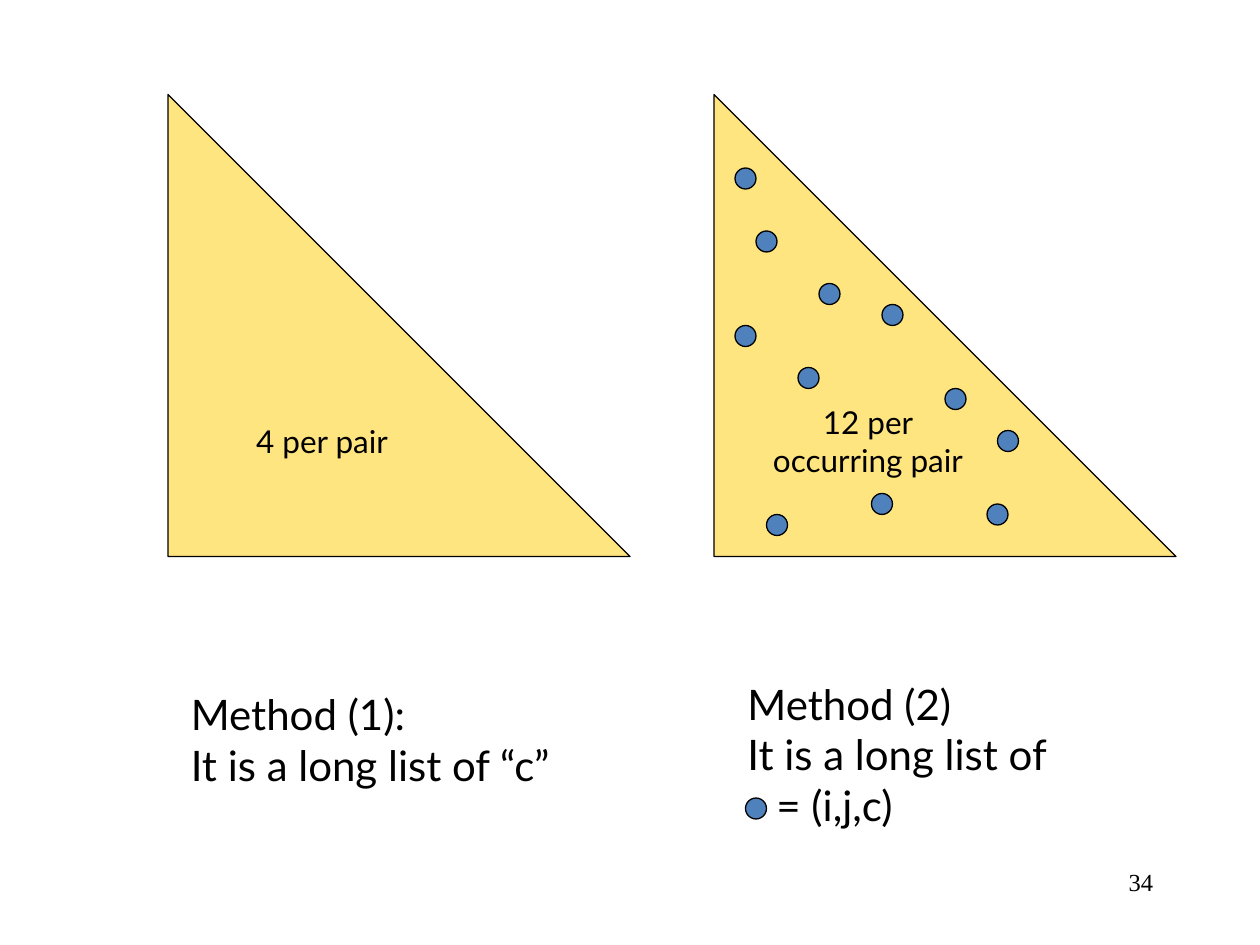
import lxml.etree
import pptx
import pptx.dml.color
import pptx.enum.shapes
import pptx.enum.text
import pptx.oxml.ns
import pptx.util

COLORS = {"black": "000000", "triangle": "FFCC00", "dot": "4F81BD"}
BODY_FONT = "Lato"
NUMBER_FONT = "Times New Roman"
SLIDE_WIDTH, SLIDE_HEIGHT = 10, 7.5
GRID_COLUMNS, GRID_ROWS = 120, 90
TRIANGLE_ROW, TRIANGLE_SIZE, DOT_SIZE = 9, 44, 2
TRIANGLE_OPACITY = 50
SYMBOL_INDENT = 0.23

TRIANGLES = [(16, ["4 per pair"]), (68, ["12 per", "occurring pair"])]
PAIR_DOTS = [
    (95, 41), (83, 47), (84, 29), (72, 22), (90, 37), (94, 48),
    (73, 49), (76, 35), (78, 27), (70, 16), (70, 31),
]
LEGEND_DOT = (71, 76)
METHODS = [
    ((17, 65, 38.9, 10.9), ["Method (1):", "It is a long list of “c”"]),
    ((70, 64, 32.8, 15.7), ["Method (2)", "It is a long list of", "= (i,j,c)"]),
]
SLIDE_NUMBER = ((86, 82, 25, 6), ["34"])

ALIGN = pptx.enum.text.PP_ALIGN
SHAPE = pptx.enum.shapes.MSO_SHAPE


def color(name):
    return pptx.dml.color.RGBColor.from_string(COLORS[name])


def place(column, row, columns, rows):
    cell_width = SLIDE_WIDTH / GRID_COLUMNS
    cell_height = SLIDE_HEIGHT / GRID_ROWS
    lengths = (column * cell_width, row * cell_height, columns * cell_width, rows * cell_height)
    return [pptx.util.Inches(length) for length in lengths]


def write(text_frame, lines, size, font=BODY_FONT, alignment=ALIGN.LEFT):
    text_frame.word_wrap = True
    text_frame.text = "\n".join(lines)
    for paragraph in text_frame.paragraphs:
        paragraph.alignment = alignment
        for run in paragraph.runs:
            run.font.name = font
            run.font.size = pptx.util.Pt(size)
            run.font.color.rgb = color("black")


def add_text(slide, cells, lines, size, **style):
    text_frame = slide.shapes.add_textbox(*place(*cells)).text_frame
    write(text_frame, lines, size, **style)
    return text_frame


def add_outlined(slide, kind, column, row, size, fill):
    shape = slide.shapes.add_shape(kind, *place(column, row, size, size))
    shape.shadow.inherit = False
    shape.fill.solid()
    shape.fill.fore_color.rgb = color(fill)
    shape.line.color.rgb = color("black")
    shape.line.width = pptx.util.Pt(0.75)
    return shape


def add_triangle(slide, column, lines):
    shape = add_outlined(
        slide, SHAPE.RIGHT_TRIANGLE, column, TRIANGLE_ROW, TRIANGLE_SIZE, "triangle"
    )
    fill_color = shape.fill._xPr.find(".//" + pptx.oxml.ns.qn("a:srgbClr"))
    alpha = lxml.etree.SubElement(fill_color, pptx.oxml.ns.qn("a:alpha"))
    alpha.set("val", str(TRIANGLE_OPACITY * 1000))
    shape.text_frame.vertical_anchor = pptx.enum.text.MSO_ANCHOR.MIDDLE
    write(shape.text_frame, lines, 18, alignment=ALIGN.CENTER)


def main():
    presentation = pptx.Presentation()
    presentation.slide_width = pptx.util.Inches(SLIDE_WIDTH)
    presentation.slide_height = pptx.util.Inches(SLIDE_HEIGHT)
    slide = presentation.slides.add_slide(presentation.slide_layouts[6])

    number_cells, number_lines = SLIDE_NUMBER
    add_text(slide, number_cells, number_lines, 14, font=NUMBER_FONT, alignment=ALIGN.RIGHT)
    for column, lines in TRIANGLES:
        add_triangle(slide, column, lines)
    for cells, lines in METHODS:
        text_frame = add_text(slide, cells, lines, 24)
        text_frame.auto_size = pptx.enum.text.MSO_AUTO_SIZE.SHAPE_TO_FIT_TEXT
    symbol_line = text_frame.paragraphs[-1]
    symbol_line._p.get_or_add_pPr().set("marL", str(pptx.util.Inches(SYMBOL_INDENT)))
    for column, row in PAIR_DOTS + [LEGEND_DOT]:
        add_outlined(slide, SHAPE.OVAL, column, row, DOT_SIZE, "dot")

    presentation.save("out.pptx")


if __name__ == "__main__":
    main()
